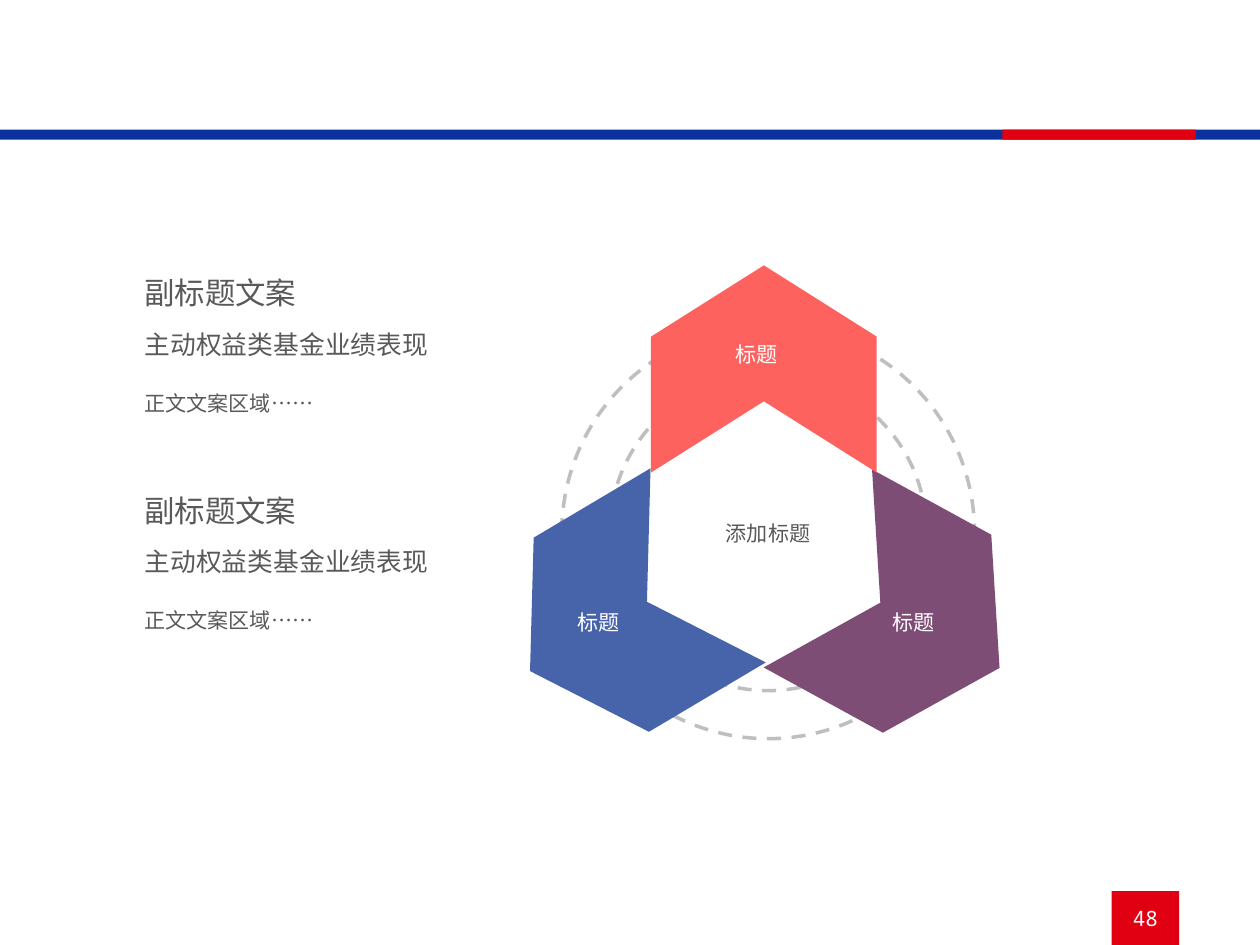
from lxml import etree
from pptx import Presentation
from pptx.dml.color import RGBColor
from pptx.enum import dml, shapes, text
from pptx.oxml.ns import qn
from pptx.util import Inches, Pt

HUES = {"red": "E10011", "blue": "0A319D", "gray": "BFBFBF", "plum": "7E4D76",
        "coral": "FD625E", "steel": "4764AA", "ink": "595959", "white": "FFFFFF"}
SANS, MONO = "Noto Sans CJK SC", "Noto Sans Mono"

BARS = [  # box, colour
    ((6.6, 5.29, 0.4, 0.32), "red"),
    ((0, 0.77, 7.48, 0.06), "blue"),
    ((5.95, 0.77, 1.15, 0.06), "red"),
]
HUB, RINGS = (4.56, 3.16), [1.88, 2.45]  # centre, diameters
ARMS = [  # left, top, turn, colour
    (4.78, 3, 28.7, "plum"),
    (3.92, 1.52, 270, "coral"),
    (3.06, 3, 149.3, "steel"),
]
ARM_SIZE, NOTCH = (1.23, 1.34), 0.344
LABELS = [("标题", 4.27, 1.98), ("标题", 5.2, 3.57), ("标题", 3.33, 3.57)]
BLOCK = [  # words, offset from block top, width, height, size
    ("副标题文案", 0, 1.75, 0.33, 13),
    ("主动权益类基金业绩表现", 0.32, 1.94, 0.29, 11),
    ("正文文案区域……", 0.69, 1.75, 0.4, 9),
]
BLOCK_LEFT, BLOCK_TOPS = 0.76, [1.58, 2.87]

deck = Presentation()
deck.slide_width, deck.slide_height = Inches(7.48), Inches(5.61)
slide = deck.slides.add_slide(deck.slide_layouts[6])


def color(name):
    return RGBColor.from_string(HUES[name])


def add_shape(kind, box, fill=None):
    shape = slide.shapes.add_shape(kind, *map(Inches, box))
    shape.shadow.inherit = False
    shape.line.fill.background()
    if fill:
        shape.fill.solid()
        shape.fill.fore_color.rgb = color(fill)
    else:
        shape.fill.background()
    return shape


def add_text(words, box, size=9, hue="ink", face=SANS,
             align=text.PP_ALIGN.LEFT, **frame_format):
    frame = slide.shapes.add_textbox(*map(Inches, box)).text_frame
    look = {"word_wrap": True, "auto_size": text.MSO_AUTO_SIZE.SHAPE_TO_FIT_TEXT}
    for key, value in (look | frame_format).items():
        setattr(frame, key, value)
    para = frame.paragraphs[0]
    para.alignment = align
    run = para.add_run()
    run.text = words
    for key, value in {"size": Pt(size), "name": face}.items():
        setattr(run.font, key, value)
    run.font.color.rgb = color(hue)
    # East Asian glyphs take their own typeface entry
    etree.SubElement(run._r.get_or_add_rPr(), qn("a:ea"), typeface=face)


for box, hue in BARS:
    add_shape(shapes.MSO_SHAPE.RECTANGLE, box, hue)

for size in RINGS:
    left, top = (mid - size / 2 for mid in HUB)
    ring = add_shape(shapes.MSO_SHAPE.FLOWCHART_CONNECTOR, (left, top, size, size))
    ring.line.color.rgb = color("gray")
    ring.line.width = Pt(1.5)
    ring.line.dash_style = dml.MSO_LINE.DASH

for left, top, turn, hue in ARMS:
    arm = add_shape(shapes.MSO_SHAPE.CHEVRON, (left, top, *ARM_SIZE), hue)
    arm.adjustments[0] = NOTCH
    arm.rotation = turn

for words, left, top in LABELS:
    add_text(words, (left, top, 0.76, 0.25), hue="white")
add_text("添加标题", (3.86, 3.04, 1.4, 0.25), align=text.PP_ALIGN.CENTER)

for start in BLOCK_TOPS:
    for words, drop, width, height, size in BLOCK:
        add_text(words, (BLOCK_LEFT, start + drop, width, height), size)

add_text("48", BARS[0][0], hue="white", face=MONO, align=text.PP_ALIGN.CENTER,
         auto_size=text.MSO_AUTO_SIZE.NONE, vertical_anchor=text.MSO_ANCHOR.MIDDLE)

deck.save("out.pptx")
